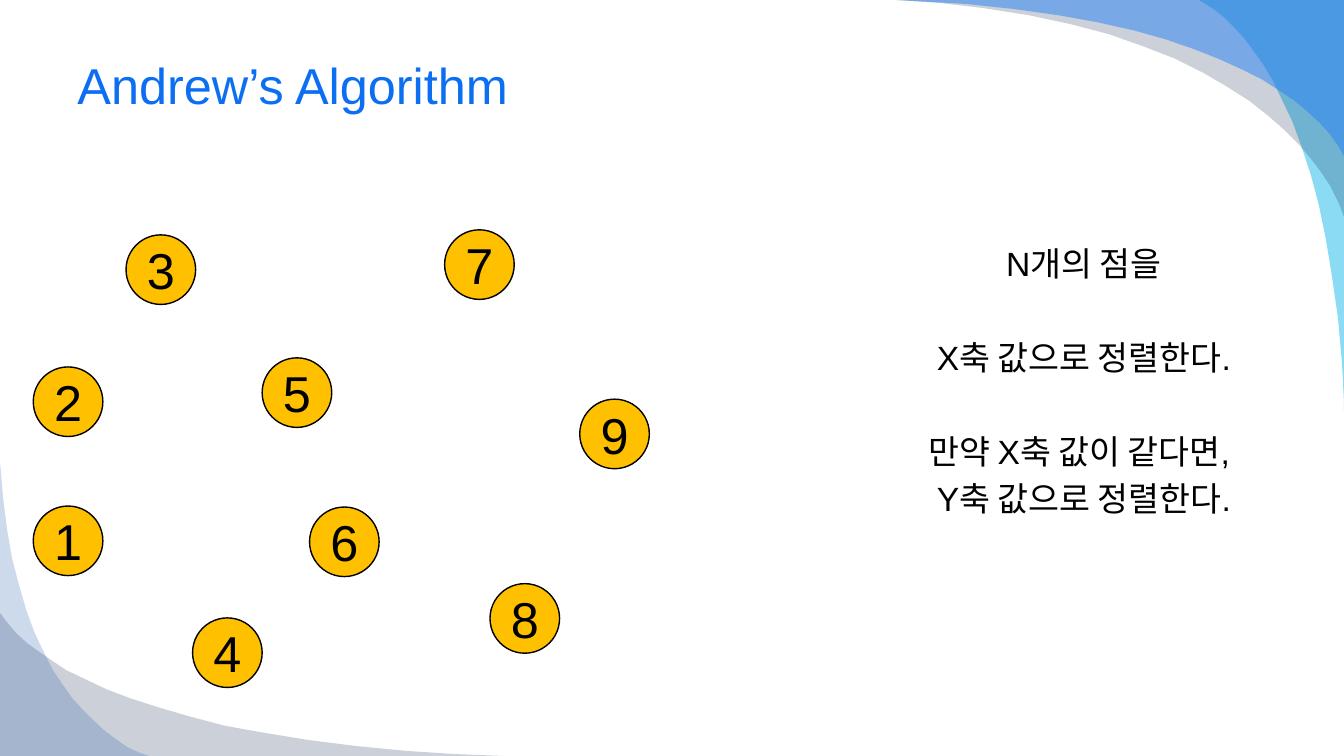
from lxml.etree import SubElement
from pptx import Presentation
from pptx.dml.color import RGBColor
from pptx.enum.shapes import MSO_SHAPE
from pptx.enum.text import MSO_ANCHOR, PP_ALIGN
from pptx.oxml.ns import qn
from pptx.util import Inches, Pt

FONT = "Arial"
DIAMETER = 0.69

WAVES = [
    ("00B1E9", 45, [
        (13.33, 4.08), (13.33, 0), (11.89, 0), (11.94, 0.03), (12.05, 0.1),
        (12.15, 0.18), (12.25, 0.28), (12.34, 0.38), (12.43, 0.5),
        (12.53, 0.64), (12.63, 0.81), (12.72, 1), (12.82, 1.21),
        (12.91, 1.46), (13, 1.73), (13.08, 2.03), (13.15, 2.37),
        (13.21, 2.74), (13.27, 3.15), (13.31, 3.6), (13.33, 4),
    ]),
    ("021741", 20, [
        (8.89, 0), (13.33, 0), (13.33, 2.15), (13.28, 2.02), (13.19, 1.84),
        (13.09, 1.69), (12.99, 1.56), (12.88, 1.43), (12.74, 1.29),
        (12.58, 1.15), (12.39, 1), (12.17, 0.86), (11.93, 0.72),
        (11.65, 0.58), (11.34, 0.46), (11, 0.34), (10.62, 0.24),
        (10.2, 0.15), (9.75, 0.08), (9.33, 0.03),
    ]),
    ("247FF4", 49, [
        (8.89, 0), (13.33, 0), (13.33, 1.55), (13.28, 1.46), (13.19, 1.33),
        (13.09, 1.22), (12.96, 1.1), (12.84, 1), (12.69, 0.9),
        (12.52, 0.79), (12.32, 0.69), (12.1, 0.59), (11.85, 0.49),
        (11.56, 0.39), (11.24, 0.3), (10.88, 0.22), (10.49, 0.15),
        (10.06, 0.09), (9.59, 0.04),
    ]),
    ("021741", 20, [
        (5, 7.5), (0, 7.5), (0, 6.08), (0.06, 6.16), (0.16, 6.28),
        (0.27, 6.38), (0.38, 6.46), (0.51, 6.55), (0.66, 6.65),
        (0.85, 6.74), (1.06, 6.84), (1.3, 6.93), (1.58, 7.02),
        (1.89, 7.11), (2.23, 7.2), (2.62, 7.27), (3.05, 7.34),
        (3.52, 7.4), (4.03, 7.45), (4.5, 7.48),
    ]),
    ("084AA1", 20, [
        (0, 4.58), (0, 7.5), (1.48, 7.5), (1.39, 7.47), (1.26, 7.41),
        (1.16, 7.34), (1.04, 7.25), (0.92, 7.14), (0.82, 7.04),
        (0.72, 6.93), (0.62, 6.79), (0.52, 6.64), (0.43, 6.46),
        (0.34, 6.27), (0.26, 6.05), (0.19, 5.81), (0.12, 5.54),
        (0.07, 5.25), (0.03, 4.93),
    ]),
]

POINTS = [
    (0.33, 5.02), (0.33, 3.64), (1.25, 2.33), (1.91, 6.13), (2.6, 3.55),
    (3.07, 5.03), (4.41, 2.28), (4.86, 5.79), (5.75, 3.96),
]

STEPS = [
    ("N개의 점을", 4.8),
    ("X축 값으로 정렬한다.", 38.4),
    ("만약 X축 값이 같다면, ", 38.4),
    ("Y축 값으로 정렬한다.", 4.8),
]


def color(value):
    return RGBColor.from_string(value)


def style_text(para, size, value):
    for span in para.runs:
        span.font.name = FONT
        span.font.size = Pt(size)
        span.font.color.rgb = color(value)


def add_wave(page, fill, opacity, outline):
    corners = [(Inches(x), Inches(y)) for x, y in outline]
    builder = page.shapes.build_freeform(*corners[0], scale=1.0)
    builder.add_line_segments(corners[1:], close=True)
    wave = builder.convert_to_shape()
    wave.shadow.inherit = False
    wave.fill.solid()
    wave.fill.fore_color.rgb = color(fill)
    wave.line.fill.background()
    tint = wave.fill._xPr.find(qn("a:solidFill"))[0]
    SubElement(tint, qn("a:alpha")).set("val", str(opacity * 1000))


def add_text_box(page, left, top, width, height):
    box = page.shapes.add_textbox(
        Inches(left), Inches(top), Inches(width), Inches(height))
    box.text_frame.word_wrap = True
    return box


def add_title(page, text):
    frame = add_text_box(page, 0.67, 0.33, 12, 1.01).text_frame
    frame.vertical_anchor = MSO_ANCHOR.MIDDLE
    frame.text = text
    style_text(frame.paragraphs[0], 36, "0C6FF2")


def add_steps(page):
    frame = add_text_box(page, 8.48, 1.48, 4.54, 5.22).text_frame
    frame.margin_top = Inches(0.93)
    frame.text = "\n".join(text for text, gap in STEPS)
    for para, (text, gap) in zip(frame.paragraphs, STEPS):
        para.alignment = PP_ALIGN.CENTER
        para.line_spacing = Pt(28.8)
        para.space_before = Pt(gap)
        style_text(para, 24, "000000")


def add_point(page, number, left, top):
    point = page.shapes.add_shape(
        MSO_SHAPE.OVAL, Inches(left), Inches(top),
        Inches(DIAMETER), Inches(DIAMETER))
    point.shadow.inherit = False
    point.fill.solid()
    point.fill.fore_color.rgb = color("FFC000")
    point.line.color.rgb = color("000000")
    point.line.width = Pt(1)
    frame = point.text_frame
    frame.vertical_anchor = MSO_ANCHOR.MIDDLE
    frame.text = str(number)
    frame.paragraphs[0].alignment = PP_ALIGN.CENTER
    style_text(frame.paragraphs[0], 36, "000000")


def main():
    deck = Presentation()
    deck.slide_width = Inches(13.33)
    deck.slide_height = Inches(7.5)
    page = deck.slides.add_slide(deck.slide_layouts[6])
    for fill, opacity, outline in WAVES:
        add_wave(page, fill, opacity, outline)
    add_title(page, "Andrew’s Algorithm")
    add_steps(page)
    for number, (left, top) in enumerate(POINTS, start=1):
        add_point(page, number, left, top)
    deck.save("out.pptx")


if __name__ == "__main__":
    main()
